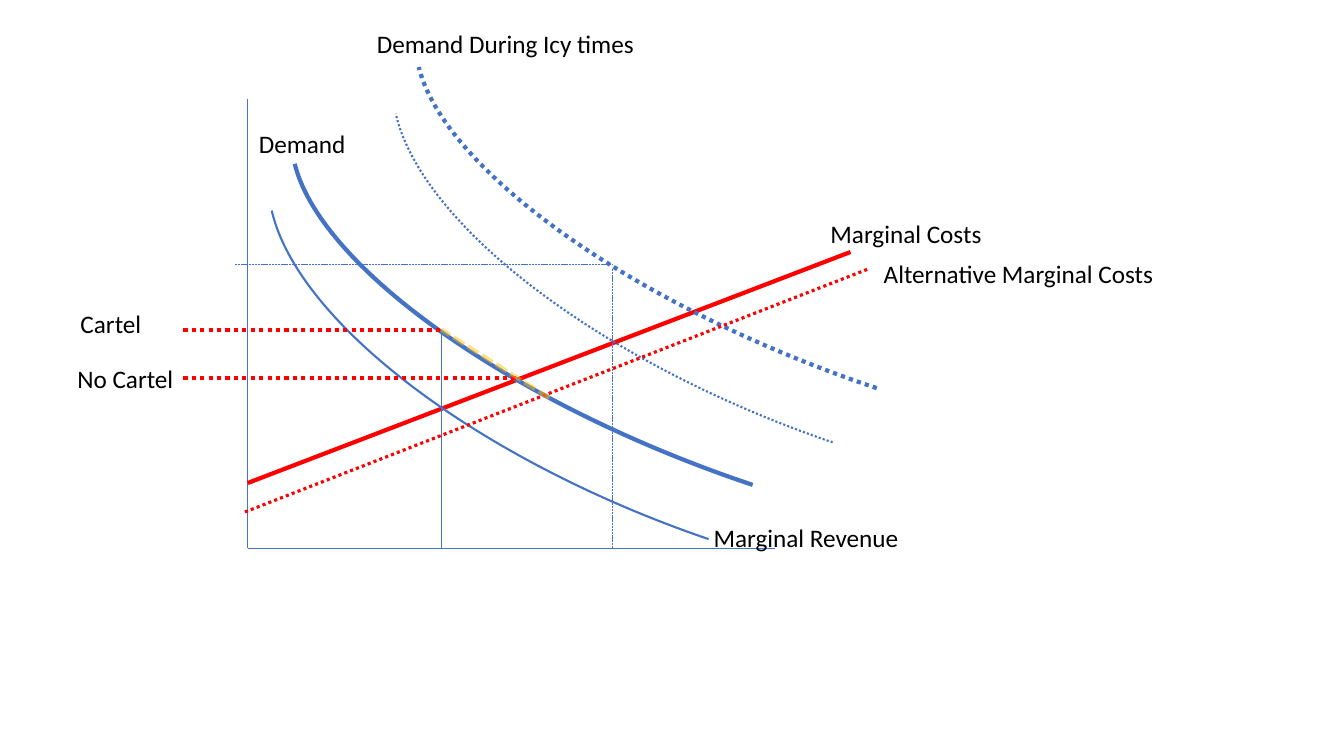
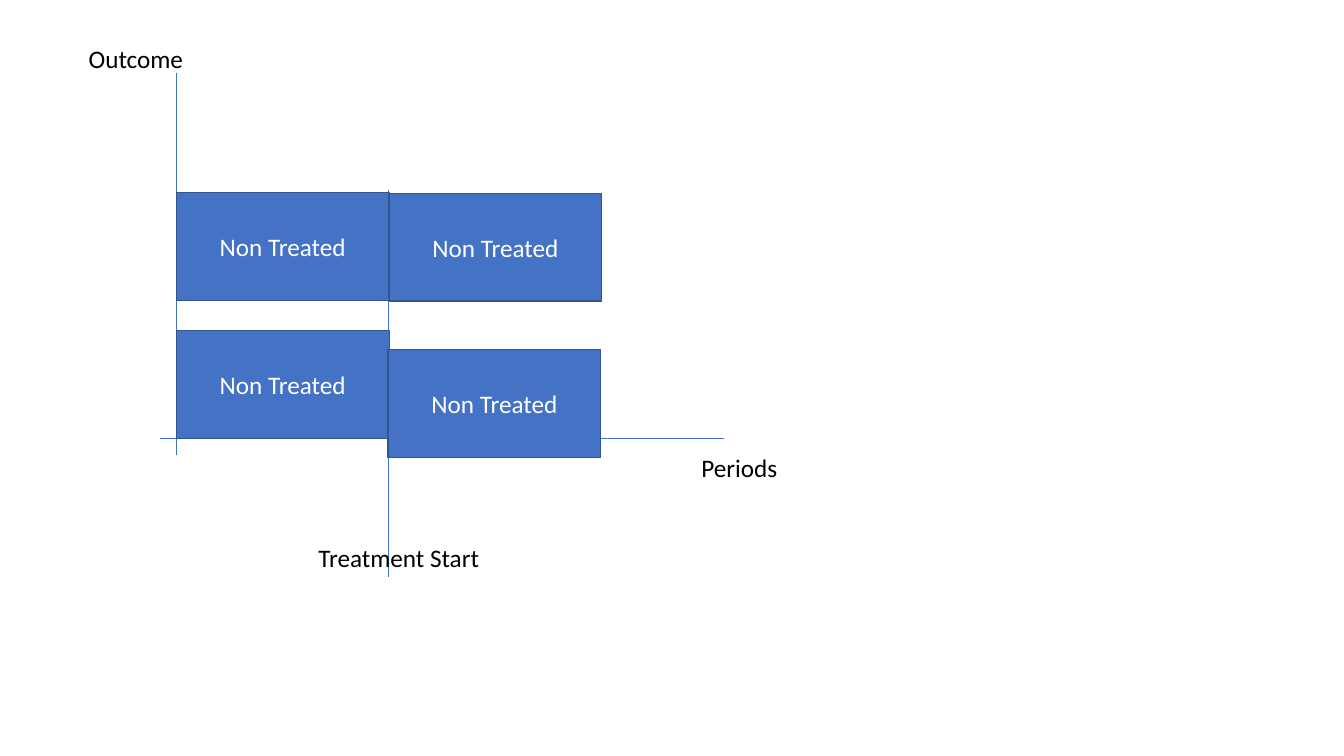
from lxml import etree
from pptx import Presentation
from pptx import util as u
from pptx.dml import color as c
from pptx.enum import dml, shapes, text
from pptx.oxml import ns

BLUE, DARK_BLUE, RED, GOLD = "4472C4", "325491", "FF0000", "FFC000"
BLACK, WHITE = "000000", "FFFFFF"
DOT, DASH = dml.MSO_LINE.ROUND_DOT, dml.MSO_LINE.SQUARE_DOT
FONT = {"name": "Calibri", "size": u.Pt(18)}
LABEL_FRAME = {"auto_size": text.MSO_AUTO_SIZE.SHAPE_TO_FIT_TEXT}
BLOCK_FRAME = {"word_wrap": True, "vertical_anchor": text.MSO_ANCHOR.MIDDLE}


def paint(color_format, value):
    """Set a colour format from a hex string."""
    color_format.rgb = c.RGBColor.from_string(value)


def apply_format(target, values):
    """Set each attribute of the target from a dict."""
    for name, value in values.items():
        setattr(target, name, value)


def style_line(line, color, width, dash=None):
    """Give an outline its colour, width and dash."""
    line.fill.solid()
    paint(line.fill.fore_color, color)
    apply_format(line, {"width": u.Pt(width), "dash_style": dash})


def write(shape, wording, color, frame_format, alignment):
    """Write one paragraph of text into a shape."""
    apply_format(shape.text_frame, frame_format)
    paragraph = shape.text_frame.paragraphs[0]
    paragraph.alignment = alignment
    run = paragraph.add_run()
    run.text = wording
    apply_format(run.font, FONT)
    paint(run.font.color, color)


def add_line(slide, origin, start, end, color=BLUE, width=0.5, dash=None):
    """Draw a straight line between two points relative to the origin."""
    left, top = origin
    connector = slide.shapes.add_connector(
        shapes.MSO_CONNECTOR.STRAIGHT,
        u.Pt(left + start[0]), u.Pt(top + start[1]),
        u.Pt(left + end[0]), u.Pt(top + end[1]))
    style_line(connector.line, color, width, dash)
    etree.SubElement(connector._element.spPr, ns.qn("a:effectLst"))
    return connector


def add_preset(slide, kind, origin, x, y, width, height):
    """Add a preset shape without shadow, relative to the origin."""
    shape = slide.shapes.add_shape(
        kind, u.Pt(origin[0] + x), u.Pt(origin[1] + y), u.Pt(width), u.Pt(height))
    shape.shadow.inherit = False
    return shape


def add_curve(slide, origin, x, y, height, angles, width, dash=None):
    """Draw a falling curve as a rotated arc."""
    arc = add_preset(slide, shapes.MSO_SHAPE.ARC, origin, x, y, 719.3, height)
    arc.rotation = 200.7
    for index, angle in enumerate(angles):
        arc.adjustments[index] = angle
    arc.fill.background()
    style_line(arc.line, BLUE, width, dash)


def add_label(slide, origin, wording, x, y, width, wrap=False):
    """Add a black text label relative to the origin."""
    box = slide.shapes.add_textbox(
        u.Pt(origin[0] + x), u.Pt(origin[1] + y), u.Pt(width), u.Pt(29))
    write(box, wording, BLACK, {**LABEL_FRAME, "word_wrap": wrap}, text.PP_ALIGN.LEFT)


def add_block(slide, origin, wording, x, y, width, height):
    """Add a blue block with centred white text."""
    block = add_preset(slide, shapes.MSO_SHAPE.RECTANGLE, origin, x, y, width, height)
    block.fill.solid()
    paint(block.fill.fore_color, BLUE)
    style_line(block.line, DARK_BLUE, 1)
    write(block, wording, WHITE, BLOCK_FRAME, text.PP_ALIGN.CENTER)


def draw_market(slide, left, top, width, height):
    """Draw the cartel diagram around the given axis box."""
    origin = (left, top)
    cartel, no_cartel = (138.3, 165), (195.2, 199.5)
    icy_quantity, icy_price = 260.7, 118.1
    price_left = -46
    demand = (11.5, 8, 263.5, (152.236, 212.846), 3)
    revenue = (-4.2, 15.9, 298.8, (155.585, 212.081), 1.5)

    add_line(slide, origin, (0, 0), (0, height))
    add_line(slide, origin, (width, height), (0, height))
    add_line(slide, origin, (0, 274.5), (430.5, 109.5), RED, 3)
    for shift_x, shift_y, dash in ((0, 0, None), (88.6, -69.1, DOT)):
        for x, y, arc_height, angles, weight in (demand, revenue):
            add_curve(slide, origin, x + shift_x, y + shift_y,
                      arc_height, angles, weight, dash)
    add_line(slide, origin, (cartel[0], height), cartel)
    for point in (cartel, no_cartel):
        add_line(slide, origin, (price_left, point[1]), point, RED, 3, DOT)
    add_line(slide, origin, (-9.2, icy_price), (icy_quantity, icy_price), dash=DASH)
    add_line(slide, origin, (icy_quantity, height), (icy_quantity, 121.7), dash=DASH)
    add_line(slide, origin, (-2, 295.2), (443, 121.7), RED, 2.25, DOT)

    for label in (("Cartel", -126.6, 146.2, 58.3),
                  ("No Cartel", -128.8, 185.1, 84.2),
                  ("Demand", 0.8, 17.3, 81.4),
                  ("Demand During Icy times", 85.1, -53.9, 204.5),
                  ("Marginal Revenue", 325.6, 298.9, 152.6),
                  ("Alternative Marginal Costs", 447.2, 110.2, 208.8),
                  ("Marginal Costs", 409.1, 82.1, 123.8)):
        add_label(slide, origin, *label)

    highlight = add_line(slide, origin, (215.4, 213.9), cartel, GOLD, 3, DASH)
    color = highlight._element.spPr.find(".//" + ns.qn("a:srgbClr"))
    etree.SubElement(color, ns.qn("a:alpha")).set("val", "48000")


def draw_treatment(slide, left, top, width, height):
    """Draw the treatment diagram around the given axis box."""
    origin = (left, top)
    block_width, block_height = 151.9, 77
    start = 151.2
    add_line(slide, origin, (0, 0), (0, height + 11.5))
    add_line(slide, origin, (-11.5, height), (width, height))
    add_block(slide, origin, "Non Treated", 0, height - block_height,
              block_width, block_height)
    add_line(slide, origin, (start, 360), (start, 83.6))
    add_label(slide, origin, "Treatment Start", 94.3, 332, 181.4, True)
    add_label(slide, origin, "Periods", 367.9, 267.9, 69.1)
    add_label(slide, origin, "Outcome", -69.8, -24.4, 82.8)
    for x, y in ((start, 198), (0, 85.7), (block_width, 86.4)):
        add_block(slide, origin, "Non Treated", x, y, block_width, block_height)


def main():
    """Build and save the presentation."""
    presentation = Presentation()
    apply_format(presentation, {"slide_width": u.Pt(960), "slide_height": u.Pt(540)})
    for draw, box in ((draw_market, (177, 70.5, 376.5, 321)),
                      (draw_treatment, (126, 51.8, 391, 261.4))):
        draw(presentation.slides.add_slide(presentation.slide_layouts[6]), *box)
    presentation.save("out.pptx")


if __name__ == "__main__":
    main()
